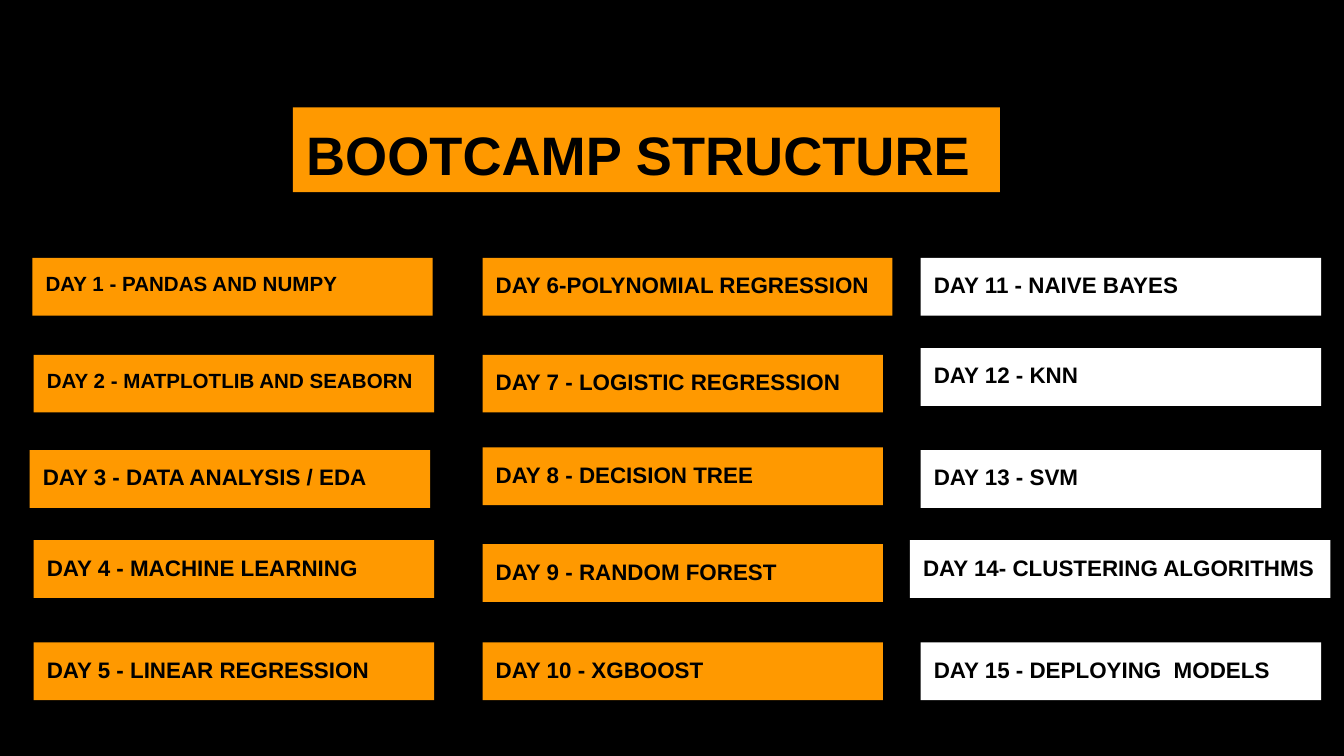
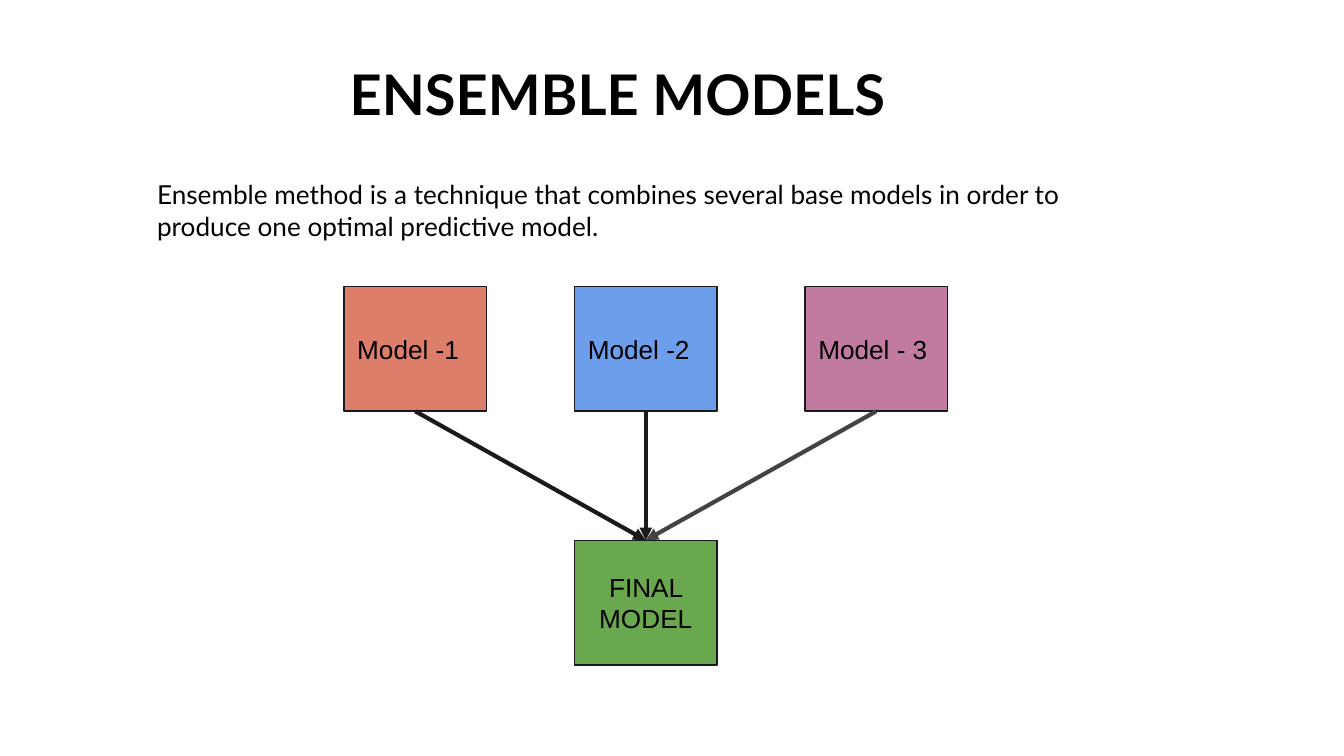
import dataclasses

import lxml.etree
import pptx
import pptx.dml.color
import pptx.enum.shapes
import pptx.enum.text
import pptx.oxml.ns
import pptx.util

Inches = pptx.util.Inches
Align = pptx.enum.text.PP_ALIGN
Anchor = pptx.enum.text.MSO_ANCHOR

COLORS = {
    "black": "000000",
    "white": "FFFFFF",
    "orange": "FF9900",
    "red": "DD7E6B",
    "blue": "6D9EEB",
    "purple": "C27BA0",
    "green": "6AA84F",
    "ink": "1A1A1A",
    "gray": "434343",
}
SLIDE_WIDTH = Inches(10)
SLIDE_HEIGHT = SLIDE_WIDTH * 9 // 16
INSET = Inches(0.1)
BOTTOM, TOP = 2, 0


@dataclasses.dataclass(frozen=True)
class Area:
    left: float
    top: float
    width: float
    height: float

    def lengths(self) -> tuple:
        return tuple(Inches(value) for value in dataclasses.astuple(self))


@dataclasses.dataclass(frozen=True)
class Style:
    size: float
    font: str = "Arial"
    bold: bool = False
    align: Align = Align.LEFT
    anchor: Anchor = Anchor.TOP


@dataclasses.dataclass(frozen=True)
class Day:
    label: str
    top: float
    shift: float = 0
    width: float = 2.98
    size: float = 12


@dataclasses.dataclass(frozen=True)
class Column:
    left: float
    fill: str
    days: tuple


@dataclasses.dataclass(frozen=True)
class Model:
    label: str
    fill: str
    arrow: str


COLUMNS = (
    Column(0.25, "orange", (
        Day("DAY 1 - PANDAS AND NUMPY", 1.92, shift=-0.01, size=11),
        Day("DAY 2 - MATPLOTLIB AND SEABORN", 2.64, size=11),
        Day("DAY 3 - DATA ANALYSIS / EDA", 3.35, shift=-0.03),
        Day("DAY 4 - MACHINE LEARNING", 4.02),
        Day("DAY 5 - LINEAR REGRESSION", 4.78),
    )),
    Column(3.59, "orange", (
        Day("DAY 6-POLYNOMIAL REGRESSION", 1.92, width=3.05),
        Day("DAY 7 - LOGISTIC REGRESSION", 2.64),
        Day("DAY 8 - DECISION TREE", 3.33),
        Day("DAY 9 - RANDOM FOREST", 4.05),
        Day("DAY 10 - XGBOOST", 4.78),
    )),
    Column(6.85, "white", (
        Day("DAY 11 - NAIVE BAYES", 1.92),
        Day("DAY 12 - KNN", 2.59),
        Day("DAY 13 - SVM", 3.35),
        Day("DAY 14- CLUSTERING ALGORITHMS", 4.02, shift=-0.08, width=3.13),
        Day("DAY 15 - DEPLOYING  MODELS", 4.78),
    )),
)
MODELS = (
    Model("Model -1", "red", "ink"),
    Model("Model -2", "blue", "ink"),
    Model("Model - 3", "purple", "gray"),
)
FIRST_LEFT, LAST_LEFT = 2.56, 5.99
MODEL_STEP = (LAST_LEFT - FIRST_LEFT) / (len(MODELS) - 1)
MODEL_TOP, FINAL_TOP = 2.13, 4.02
MODEL_WIDTH, MODEL_HEIGHT = 1.06, 0.93


def rgb(name: str) -> pptx.dml.color.RGBColor:
    return pptx.dml.color.RGBColor.from_string(COLORS[name])


def add_page(deck, background: str):
    page = deck.slides.add_slide(deck.slide_layouts[6])
    page.background.fill.solid()
    page.background.fill.fore_color.rgb = rgb(background)
    return page


def write_text(box, text: str, style: Style) -> None:
    frame = box.text_frame
    frame.text = text
    frame.word_wrap = True
    frame.vertical_anchor = style.anchor
    frame.margin_left = frame.margin_right = INSET
    frame.margin_top = frame.margin_bottom = INSET
    for para in frame.paragraphs:
        para.alignment = style.align
        for span in para.runs:
            span.font.name = style.font
            span.font.size = pptx.util.Pt(style.size)
            span.font.bold = style.bold
            span.font.color.rgb = rgb("black")


def add_text(page, area: Area, text: str, style: Style) -> None:
    write_text(page.shapes.add_textbox(*area.lengths()), text, style)


def add_box(page, area: Area, text: str, fill: str, style: Style, outline: str = ""):
    box = page.shapes.add_shape(
        pptx.enum.shapes.MSO_SHAPE.RECTANGLE, *area.lengths()
    )
    box.shadow.inherit = False
    box.fill.solid()
    box.fill.fore_color.rgb = rgb(fill)
    if outline:
        box.line.color.rgb = rgb(outline)
        box.line.width = pptx.util.Pt(0.75)
    else:
        box.line.fill.background()
    write_text(box, text, style)
    return box


def add_arrow(page, source, target, color: str) -> None:
    arrow = page.shapes.add_connector(
        pptx.enum.shapes.MSO_CONNECTOR.STRAIGHT, 0, 0, 0, 0
    )
    arrow.begin_connect(source, BOTTOM)
    arrow.end_connect(target, TOP)
    arrow.line.color.rgb = rgb(color)
    arrow.line.width = pptx.util.Pt(2.25)
    properties = arrow._element.spPr
    line = properties.find(pptx.oxml.ns.qn("a:ln"))
    lxml.etree.SubElement(line, pptx.oxml.ns.qn("a:tailEnd"), type="triangle")
    lxml.etree.SubElement(properties, pptx.oxml.ns.qn("a:effectLst"))


def build_structure(deck) -> None:
    page = add_page(deck, "black")
    add_box(page, Area(2.18, 0.8, 5.26, 0.63), "BOOTCAMP STRUCTURE",
            "orange", Style(29, bold=True))
    for column in COLUMNS:
        for day in column.days:
            area = Area(column.left + day.shift, day.top, day.width, 0.43)
            add_box(page, area, day.label, column.fill, Style(day.size, bold=True))


def build_ensemble(deck) -> None:
    page = add_page(deck, "white")
    add_text(page, Area(1.37, 0.34, 6.45, 0.78), "ENSEMBLE MODELS",
             Style(30, font="Lato", bold=True, align=Align.CENTER))
    add_text(page, Area(1.07, 1.23, 7.05, 0.78),
             "Ensemble method is a technique that combines several base models "
             "in order to produce one optimal predictive model.",
             Style(14, font="Lato"))
    boxes = []
    for index, model in enumerate(MODELS):
        area = Area(FIRST_LEFT + index * MODEL_STEP, MODEL_TOP,
                    MODEL_WIDTH, MODEL_HEIGHT)
        boxes.append(add_box(page, area, model.label, model.fill,
                             Style(14, anchor=Anchor.MIDDLE), "ink"))
    final = add_box(page, Area(FIRST_LEFT + MODEL_STEP, FINAL_TOP,
                               MODEL_WIDTH, MODEL_HEIGHT),
                    "FINAL MODEL", "green",
                    Style(14, align=Align.CENTER, anchor=Anchor.MIDDLE), "ink")
    for box, model in zip(boxes, MODELS):
        add_arrow(page, box, final, model.arrow)


def main() -> None:
    deck = pptx.Presentation()
    deck.slide_width = SLIDE_WIDTH
    deck.slide_height = SLIDE_HEIGHT
    build_structure(deck)
    build_ensemble(deck)
    deck.save("out.pptx")


if __name__ == "__main__":
    main()
